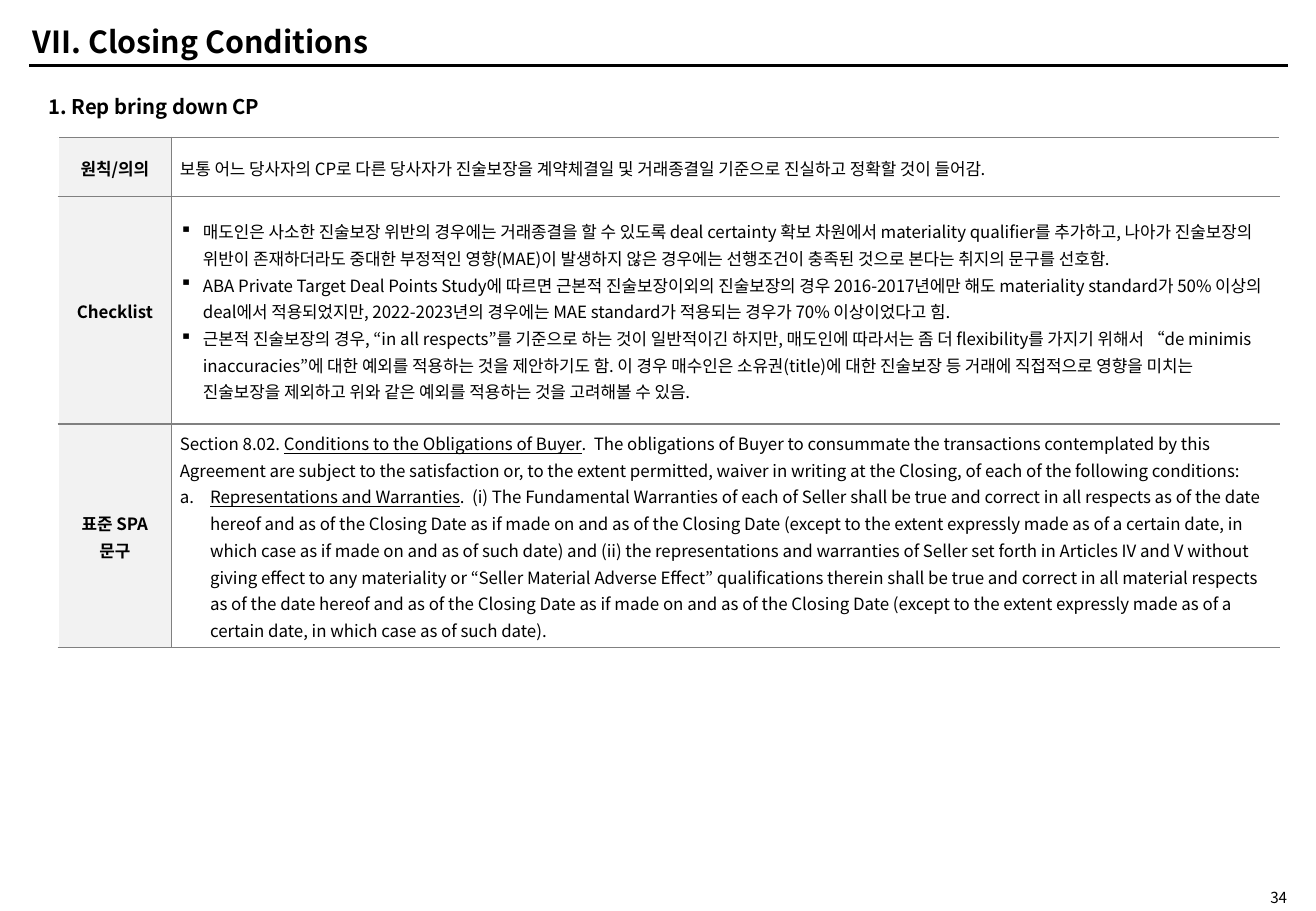
from lxml.etree import SubElement
from pptx import Presentation
from pptx.dml.color import RGBColor
from pptx.enum.shapes import MSO_CONNECTOR
from pptx.enum.text import MSO_ANCHOR, MSO_AUTO_SIZE, PP_ALIGN
from pptx.oxml.ns import qn
from pptx.util import Inches, Pt

PRINCIPLE = "보통 어느 당사자의 CP로 다른 당사자가 진술보장을 계약체결일 및 거래종결일 기준으로 진실하고 정확할 것이 들어감."
CHECKLIST = [
    "매도인은 사소한 진술보장 위반의 경우에는 거래종결을 할 수 있도록 deal certainty 확보 차원에서 "
    "materiality qualifier를 추가하고, 나아가 진술보장의 위반이 존재하더라도 중대한 부정적인 영향(MAE)이 "
    "발생하지 않은 경우에는 선행조건이 충족된 것으로 본다는 취지의 문구를 선호함.",
    "ABA Private Target Deal Points Study에 따르면 근본적 진술보장이외의 진술보장의 경우 "
    "2016-2017년에만 해도 materiality standard가 50% 이상의 deal에서 적용되었지만, "
    "2022-2023년의 경우에는 MAE standard가 적용되는 경우가 70% 이상이었다고 힘.",
    "근본적 진술보장의 경우, “in all respects”를 기준으로 하는 것이 일반적이긴 하지만, 매도인에 따라서는 "
    "좀 더 flexibility를 가지기 위해서 “de minimis inaccuracies”에 대한 예외를 적용하는 것을 제안하기도 함. "
    "이 경우 매수인은 소유권(title)에 대한 진술보장 등 거래에 직접적으로 영향을 미치는 진술보장을 제외하고 "
    "위와 같은 예외를 적용하는 것을 고려해볼 수 있음.",
]
SECTION = [
    ("Section 8.02. ", False),
    ("Conditions to the Obligations of Buyer", True),
    (".  The obligations of Buyer to consummate the transactions contemplated by this Agreement are "
     "subject to the satisfaction or, to the extent permitted, waiver in writing at the Closing, of each "
     "of the following conditions:", False),
]
WARRANTIES = [
    ("Representations and Warranties", True),
    (".  (i) The Fundamental Warranties of each of Seller shall be true and correct in all respects as of "
     "the date hereof and as of the Closing Date as if made on and as of the Closing Date (except to the "
     "extent expressly made as of a certain date, in which case as if made on and as of such date) and "
     "(ii) the representations and warranties of Seller set forth in Articles IV and V without giving "
     "effect to any materiality or “Seller Material Adverse Effect” qualifications therein shall be true "
     "and correct in all material respects as of the date hereof and as of the Closing Date as if made on "
     "and as of the Closing Date (except to the extent expressly made as of a certain date, in which case "
     "as of such date).", False),
]
# Each row: height, label, and paragraphs as (content, marker)
TERMS = [
    (6.53, "원칙/의의", [(PRINCIPLE, None)]),
    (24.93, "Checklist", [(point, "▪") for point in CHECKLIST]),
    (24.53, "표준 SPA\v문구", [(SECTION, None), (WARRANTIES, "a.")]),
]


def colour(hex_string):
    return RGBColor.from_string(hex_string)


class ClosingSlide:
    """Style and current slide; lengths are percentages of the slide's size."""

    font, ink, rule, label_fill = "Noto Sans CJK KR", "000000", "808080", "F2F2F2"

    def __init__(self, deck):
        self.width, self.height = deck.slide_width, deck.slide_height
        self.shapes = deck.slides.add_slide(deck.slide_layouts[5]).shapes

    def x(self, share):
        return round(self.width * share / 100)

    def y(self, share):
        return round(self.height * share / 100)

    def box(self, left, top, width, height):
        return self.x(left), self.y(top), self.x(width), self.y(height)

    def set_text(self, paragraph, content, size, bold=False, align=PP_ALIGN.LEFT):
        """Fill a paragraph with a string or with (text, underlined) pairs."""
        if isinstance(content, str):
            paragraph.text = content
        else:
            for text, underlined in content:
                run = paragraph.add_run()
                run.text = text
                run.font.underline = underlined
        paragraph.alignment = align
        font = paragraph.font
        font.size, font.bold, font.name = Pt(size), bold, self.font
        font.color.rgb = colour(self.ink)
        SubElement(font._element, qn("a:ea"), typeface=self.font)

    def title(self, text, place):
        heading = self.shapes.title
        heading.left, heading.top, heading.width, heading.height = self.box(*place)
        frame = heading.text_frame
        frame.auto_size = MSO_AUTO_SIZE.NONE
        frame.vertical_anchor = MSO_ANCHOR.MIDDLE
        self.set_text(frame.paragraphs[0], text, 18, bold=True)

    def text(self, text, place, size, bold=False, align=PP_ALIGN.LEFT, padding=0.05):
        frame = self.shapes.add_textbox(*self.box(*place)).text_frame
        frame.word_wrap = True
        frame.margin_top = frame.margin_bottom = Inches(padding)
        frame.vertical_anchor = MSO_ANCHOR.MIDDLE
        self.set_text(frame.paragraphs[0], text, size, bold, align)

    def line(self, left, right, level):
        line = self.shapes.add_connector(
            MSO_CONNECTOR.STRAIGHT, self.x(left), self.y(level), self.x(right), self.y(level))
        line.line.color.rgb = colour(self.ink)
        line.line.width = Pt(2)
        SubElement(line._element.spPr, qn("a:effectLst"))

    def mark(self, paragraph, marker):
        """Hang a bullet character or a letter in front of a paragraph."""
        lettered = marker == "a."
        indent = Inches(0.25 if lettered else 0.19)
        properties = paragraph._p.get_or_add_pPr()
        properties.set("marL", str(indent))
        properties.set("indent", str(-indent))
        if lettered:
            SubElement(properties, qn("a:buFont"), typeface=self.font)
            SubElement(properties, qn("a:buAutoNum"), type="alphaLcPeriod")
        else:
            SubElement(properties, qn("a:buChar"), char=marker)

    def cell(self, cell, paragraphs, sides, label=False):
        cell.margin_left = cell.margin_right = Inches(0.07)
        cell.margin_top = cell.margin_bottom = 0
        cell.vertical_anchor = MSO_ANCHOR.MIDDLE
        properties = cell._tc.get_or_add_tcPr()
        for side in sides:
            border = SubElement(properties, qn(f"a:ln{side}"), w=str(Pt(1)))
            fill = SubElement(border, qn("a:solidFill"))
            SubElement(fill, qn("a:srgbClr"), val=self.rule)
        if label:
            cell.fill.solid()
            cell.fill.fore_color.rgb = colour(self.label_fill)
        else:
            cell.fill.background()
        frame = cell.text_frame
        for index, (content, marker) in enumerate(paragraphs):
            paragraph = frame.add_paragraph() if index else frame.paragraphs[0]
            if marker:
                self.mark(paragraph, marker)
            align = PP_ALIGN.CENTER if label else PP_ALIGN.LEFT
            self.set_text(paragraph, content, 10, label, align)
            paragraph.line_spacing = 1.1

    def table(self, left, top, columns, terms):
        height = sum(term[0] for term in terms)
        place = self.box(left, top, sum(columns), height)
        table = self.shapes.add_table(len(terms), len(columns), *place).table
        table.first_row = table.horz_banding = False
        for column, width in zip(table.columns, columns):
            column.width = self.x(width)
        for row, (height, label, paragraphs) in zip(table.rows, terms):
            row.height = self.y(height)
            self.cell(row.cells[0], [(label, None)], "RTB", label=True)
            self.cell(row.cells[1], paragraphs, "LTB")


def main():
    deck = Presentation()
    deck.slide_width, deck.slide_height = Inches(10.83), Inches(7.5)
    closing = ClosingSlide(deck)
    closing.line(2.22, 97.88, 7.2)
    closing.title("VII. Closing Conditions", (1.57, 2, 47.18, 5.07))
    closing.text("1. Rep bring down CP", (2.77, 9.73, 37.49, 4), 12, bold=True)
    closing.table(4.43, 15.07, (8.59, 84.21), TERMS)
    closing.text("34", (90.03, 97.47, 8.68, 2), 9, align=PP_ALIGN.RIGHT, padding=0)
    deck.save("out.pptx")


if __name__ == "__main__":
    main()
